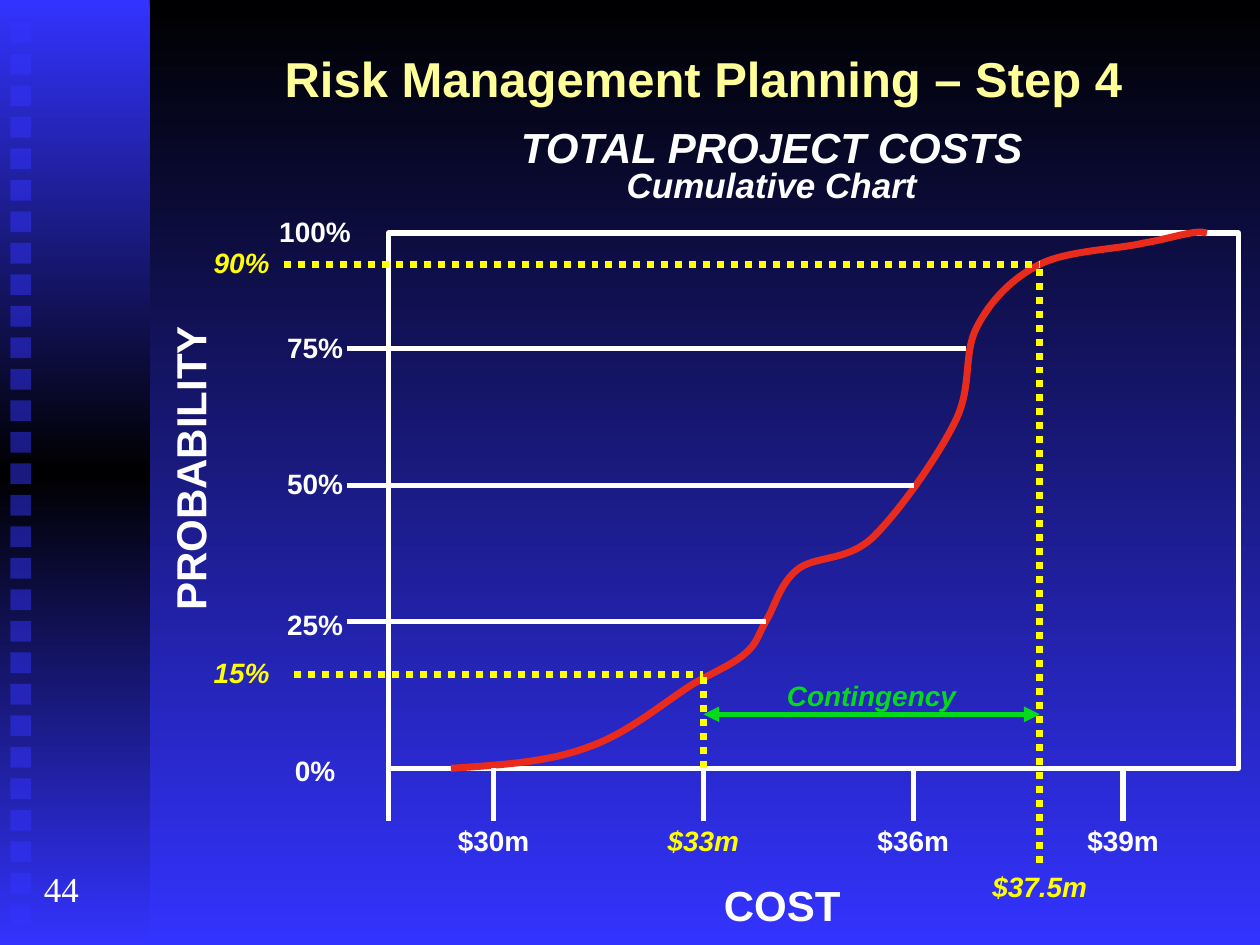
from copy import deepcopy
from lxml.etree import SubElement
from pptx import Presentation
from pptx.dml.color import RGBColor
from pptx.enum.dml import MSO_LINE
from pptx.enum.shapes import MSO_CONNECTOR, MSO_SHAPE
from pptx.enum.text import PP_ALIGN
from pptx.oxml.ns import qn
from pptx.util import Cm, Pt

BLACK = RGBColor(0x00, 0x00, 0x00)
BLUE = RGBColor(0x33, 0x33, 0xFF)
WHITE = RGBColor(0xFF, 0xFF, 0xFF)
CREAM = RGBColor(0xFF, 0xFF, 0x99)
YELLOW = RGBColor(0xFF, 0xFF, 0x00)
RED = RGBColor(0xE8, 0x2B, 0x1C)
GREEN = RGBColor(0x04, 0xDA, 0x1D)

LEFT, RIGHT, TOP, BASE = 7.83, 24.97, 4.7, 15.49
LOW, HIGH = 14.18, 20.96
LOW_Y, HIGH_Y = 13.6, 5.33
FIRST, STEP = 9.95, 4.23

CURVE = [
    (9.09, 15.49),
    (10.08, 15.42), (11.05, 15.37), (11.86, 15.06),
    (12.67, 14.78), (13.44, 14.12), (13.97, 13.79),
    (14.5, 13.49), (14.78, 13.39), (15.04, 13.16),
    (15.27, 12.95), (15.27, 12.83), (15.44, 12.52),
    (15.62, 12.24), (15.72, 11.76), (16.08, 11.48),
    (16.43, 11.2), (17.04, 11.33), (17.58, 10.85),
    (18.11, 10.34), (18.9, 9.22), (19.25, 8.51),
    (19.61, 7.8), (19.41, 7.14), (19.69, 6.6),
    (19.96, 6.07), (20.4, 5.61), (20.96, 5.33),
    (21.51, 5.05), (22.5, 5.03), (23.06, 4.9),
    (23.65, 4.8), (24.1, 4.62), (24.33, 4.7),
]


class Board:
    font = "Arial"

    def __init__(self, slide):
        self.slide = slide
        self.shapes = slide.shapes

    def blend(self, fill, *colors):
        fill.gradient_angle = 270
        for i, (stop, color) in enumerate(zip(fill.gradient_stops, colors)):
            stop.position = i / (len(colors) - 1)
            stop.color.rgb = color

    def ground(self, *colors):
        fill = self.slide.background.fill
        fill.gradient()
        self.blend(fill, *colors)

    def rect(self, x, y, w, h):
        box = self.shapes.add_shape(
            MSO_SHAPE.RECTANGLE, Cm(x), Cm(y), Cm(w), Cm(h))
        box.shadow.inherit = False
        box.fill.background()
        box.line.fill.background()
        return box

    def band(self, x, y, w, h, *colors):
        box = self.rect(x, y, w, h)
        box.fill.gradient()
        stops = box._element.spPr.find(".//" + qn("a:gsLst"))
        for _ in colors[2:]:
            stops.insert(1, deepcopy(stops[0]))
        self.blend(box.fill, *colors)

    def tile(self, x, y, side, color):
        box = self.rect(x, y, side, side)
        box.fill.solid()
        box.fill.fore_color.rgb = color
        tint = box._element.spPr.find(".//" + qn("a:srgbClr"))
        SubElement(tint, qn("a:alpha"), val="50000")

    def frame(self, x, y, w, h, color, width):
        self.ink(self.rect(x, y, w, h), color, width)

    def ink(self, shape, color, width):
        shape.line.color.rgb = color
        shape.line.width = Pt(width)

    def line(self, x1, y1, x2, y2, color=WHITE, width=3):
        link = self.shapes.add_connector(
            MSO_CONNECTOR.STRAIGHT, Cm(x1), Cm(y1), Cm(x2), Cm(y2))
        self.ink(link, color, width)
        SubElement(link._element.spPr, qn("a:effectLst"))
        return link

    def dots(self, x1, y1, x2, y2):
        link = self.line(x1, y1, x2, y2, YELLOW, 4)
        link.line.dash_style = MSO_LINE.ROUND_DOT

    def arrow(self, x1, y1, x2, y2, color):
        link = self.line(x1, y1, x2, y2, color)
        stroke = link._element.spPr.find(qn("a:ln"))
        for end in ("a:headEnd", "a:tailEnd"):
            SubElement(stroke, qn(end), type="triangle")

    def curve(self, points, color, width):
        start, *rest = [(Cm(x), Cm(y)) for x, y in points]
        pen = self.shapes.build_freeform(*start)
        pen.add_line_segments(rest, close=False)
        shape = pen.convert_to_shape()
        shape.shadow.inherit = False
        shape.fill.background()
        self.ink(shape, color, width)
        track = shape._element.spPr.find(".//" + qn("a:path"))
        legs = track.findall(qn("a:lnTo"))
        for i in range(0, len(legs), 3):
            bend = SubElement(track, qn("a:cubicBezTo"))
            for leg in legs[i:i + 3]:
                bend.append(leg[0])
                track.remove(leg)

    def text(self, words, mid, top, wide, size=16, color=WHITE, bold=True,
             slant=False, font=font, align=PP_ALIGN.CENTER, turn=0):
        high = size * 0.0423 + 0.25
        box = self.shapes.add_textbox(
            Cm(mid - wide / 2), Cm(top), Cm(wide), Cm(high))
        box.rotation = turn
        box.text_frame.word_wrap = True
        box.text_frame.text = words
        para = box.text_frame.paragraphs[0]
        para.alignment = align
        for run in para.runs:
            run.font.name = font
            run.font.size = Pt(size)
            run.font.bold = bold
            run.font.italic = slant
            run.font.color.rgb = color


def main():
    deck = Presentation()
    deck.slide_width, deck.slide_height = Cm(25.4), Cm(19.05)
    board = Board(deck.slides.add_slide(deck.slide_layouts[6]))

    board.ground(BLACK, BLUE)
    board.band(0, 0, 3.02, 19.05, BLUE, BLACK, BLUE)
    for i in range(29):
        board.tile(0.21, 0.45 + 0.635 * i, 0.42, BLUE)

    board.text("Risk Management Planning – Step 4", 14.18, 0.85, 21.59, 28, CREAM)
    board.text("44", 1.27, 17.36, 1.27, 20, bold=False,
               font="Times New Roman", align=PP_ALIGN.LEFT)

    board.frame(LEFT, TOP, RIGHT - LEFT, BASE - TOP, WHITE, 3)
    board.curve(CURVE, RED, 4)
    for y, end in ((7.03, 19.47), (9.78, 18.42), (12.53, 15.45)):
        board.line(6.99, y, end, y)
    for words, top in (("25%", 12.12), ("50%", 9.28), ("75%", 6.53),
                       ("100%", 4.19), ("0%", 15.07)):
        board.text(words, 6.35, top, 2.12)

    board.line(LEFT, BASE, LEFT, 16.55)
    for i, words in enumerate(("$30m", "$33m", "$36m", "$39m")):
        x = FIRST + STEP * i
        mark = words == "$33m"
        board.line(x, BASE, x, 16.55)
        board.text(words, x, 16.47, 2.12,
                   color=YELLOW if mark else WHITE, slant=mark)

    board.dots(LOW, BASE, LOW, LOW_Y)
    board.dots(HIGH, 17.4, HIGH, HIGH_Y)
    board.dots(5.72, HIGH_Y, HIGH, HIGH_Y)
    board.dots(5.93, LOW_Y, LOW, LOW_Y)
    for words, mid, top, wide in (("$37.5m", HIGH, 17.4, 2.54),
                                  ("90%", 4.87, 4.83, 1.69),
                                  ("15%", 4.87, 13.08, 1.69)):
        board.text(words, mid, top, wide, color=YELLOW, slant=True)

    board.text("COST", 15.77, 17.6, 3.6, 24)
    board.text("PROBABILITY", 3.82, 8.81, 6.99, 24, turn=270)
    board.text("TOTAL PROJECT COSTS", 15.56, 2.33, 10.8, 24, slant=True)
    board.text("Cumulative Chart", 15.56, 3.18, 10.8, 20, slant=True)

    board.text("Contingency", 17.57, 13.55, 5.08, color=GREEN, slant=True)
    board.arrow(LOW, 14.4, HIGH, 14.4, GREEN)

    deck.save("out.pptx")


if __name__ == "__main__":
    main()
